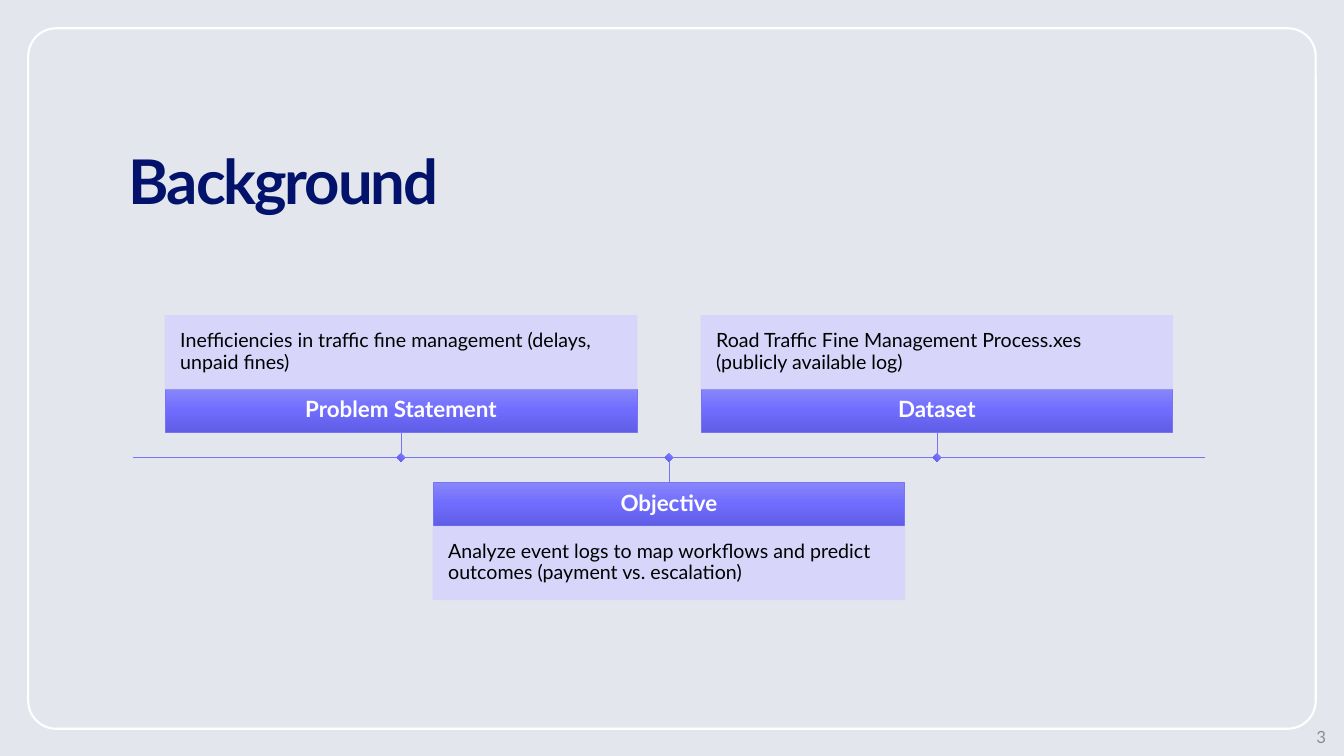
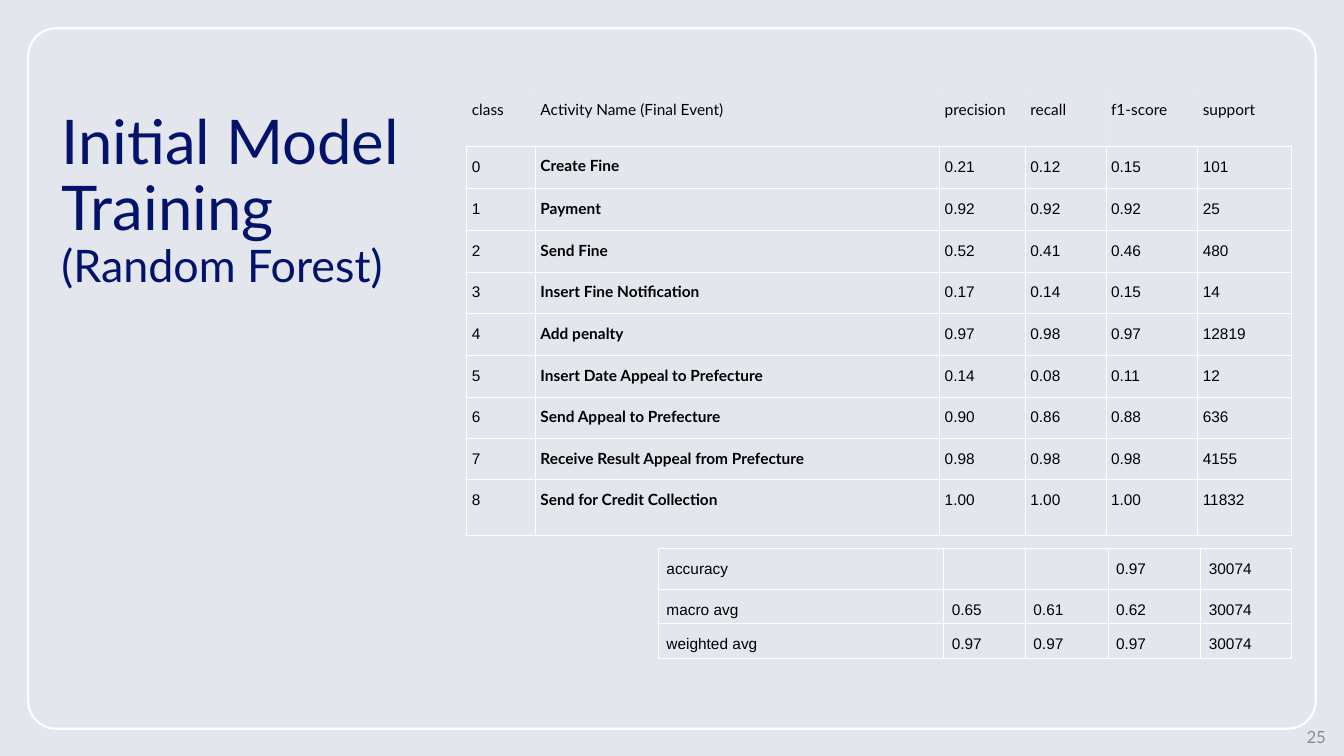
"""Builds a background timeline slide and a model results slide."""
import pptx
import pptx.dml.color
import pptx.enum.shapes
import pptx.enum.text
import pptx.oxml
import pptx.oxml.ns
import pptx.util

Inches, Pt = pptx.util.Inches, pptx.util.Pt
SHAPE = pptx.enum.shapes.MSO_SHAPE
STRAIGHT = pptx.enum.shapes.MSO_CONNECTOR.STRAIGHT
ALIGN = pptx.enum.text.PP_ALIGN
ANCHOR = pptx.enum.text.MSO_ANCHOR
qn = pptx.oxml.ns.qn

BACKDROP, WHITE, BLACK = "E3E7ED", "FFFFFF", "000000"
NAVY, GREY, HEADER_EDGE = "03126A", "8C8C8C", "E5E7EB"
VIOLET, LILAC = "7673F7", "D6D5FC"
GRADIENT = [(0, "8886FA"), (50, "706CFE"), (100, "605DE5")]

CARDS = [
    ("Problem Statement", "Inefficiencies in traffic fine management (delays, unpaid fines)"),
    ("Objective", "Analyze event logs to map workflows and predict outcomes (payment vs. escalation)"),
    ("Dataset", "Road Traffic Fine Management Process.xes (publicly available log)"),
]
AXIS_LEFT, AXIS_RIGHT, AXIS_Y = 1.32, 11.95, 4.54
CARD_W, HEAD_H, BODY_H, STEM, MARKER = 4.68, 0.43, 0.73, 0.25, 0.06

CLASS_COLS = [0.68, 4.01, 0.85, 0.8, 0.91, 0.93]
CLASS_ROW_HEIGHTS = [0.56, 0.42, 0.42, 0.41, 0.41, 0.42, 0.41, 0.41, 0.41, 0.55]
CLASS_ROWS = [
    ("class", "Activity Name (Final Event)", "precision", "recall", "f1-score", "support"),
    ("0", "Create Fine", "0.21", "0.12", "0.15", "101"),
    ("1", "Payment", "0.92", "0.92", "0.92", "25"),
    ("2", "Send Fine", "0.52", "0.41", "0.46", "480"),
    ("3", "Insert Fine Notification", "0.17", "0.14", "0.15", "14"),
    ("4", "Add penalty", "0.97", "0.98", "0.97", "12819"),
    ("5", "Insert Date Appeal to Prefecture", "0.14", "0.08", "0.11", "12"),
    ("6", "Send Appeal to Prefecture", "0.90", "0.86", "0.88", "636"),
    ("7", "Receive Result Appeal from Prefecture", "0.98", "0.98", "0.98", "4155"),
    ("8", "Send for Credit Collection", "1.00", "1.00", "1.00", "11832"),
]
SUMMARY_COLS = [2.83, 0.81, 0.82, 0.92, 0.9]
SUMMARY_ROW_HEIGHTS = [0.41, 0.34, 0.34]
SUMMARY_ROWS = [
    ("accuracy", "", "", "0.97", "30074"),
    ("macro avg", "0.65", "0.61", "0.62", "30074"),
    ("weighted avg", "0.97", "0.97", "0.97", "30074"),
]


def rgb(value):
    return pptx.dml.color.RGBColor.from_string(value)


def write(tf, text, size=14, color=BLACK, bold=False, font="Lato", align=ALIGN.LEFT,
          spacing=None, tracking=None, last_size=None):
    p = tf.paragraphs[0]
    p.alignment = align
    p.line_spacing = spacing
    lines = text.split("\n")
    for i, line in enumerate(lines):
        if i:
            p.add_line_break()
        r = p.add_run()
        r.text = line
        r.font.name, r.font.bold = font, bold
        r.font.size = Pt(last_size if last_size and i == len(lines) - 1 else size)
        r.font.color.rgb = rgb(color)
        if tracking:
            r._r.get_or_add_rPr().set("spc", str(round(tracking * 100)))


def set_frame(tf, anchor, inset=None):
    tf.word_wrap = True
    tf.vertical_anchor = anchor
    if inset is not None:
        tf.margin_left = tf.margin_top = tf.margin_right = tf.margin_bottom = Inches(inset)


def add_text(s, box, text, anchor, **fmt):
    tf = s.shapes.add_textbox(*map(Inches, box)).text_frame
    set_frame(tf, anchor)
    write(tf, text, **fmt)


def add_box(s, kind, box, line=None, width=0.5):
    sp = s.shapes.add_shape(kind, *map(Inches, box))
    sp.shadow.inherit = False
    sp.fill.background()
    if line:
        sp.line.color.rgb = rgb(line)
        sp.line.width = Pt(width)
    else:
        sp.line.fill.background()
    return sp


def fill_gradient(sp):
    sp.fill.gradient()
    sp.fill.gradient_angle = 270
    stops = sp._element.spPr.find(".//" + qn("a:gsLst"))
    for stop in list(stops):
        stops.remove(stop)
    for position, color in GRADIENT:
        stop = pptx.oxml.ns.qn("a:gs")
        gs = stops.makeelement(stop, {"pos": str(position * 1000)})
        gs.append(gs.makeelement(qn("a:srgbClr"), {"val": color}))
        stops.append(gs)


def fill_translucent(sp, color, percent):
    sp.fill.solid()
    sp.fill.fore_color.rgb = rgb(color)
    for clr in sp._element.spPr.iter(qn("a:srgbClr")):
        clr.append(clr.makeelement(qn("a:alpha"), {"val": str(percent * 1000)}))


def add_line(s, x1, y1, x2, y2):
    c = s.shapes.add_connector(STRAIGHT, *map(Inches, (x1, y1, x2, y2)))
    c.line.color.rgb = rgb(VIOLET)
    c.line.width = Pt(0.5)
    spPr = c._element.spPr
    spPr.append(spPr.makeelement(qn("a:effectLst"), {}))
    return c


def add_slide(prs, number):
    s = prs.slides.add_slide(prs.slide_layouts[6])
    s.background.fill.solid()
    s.background.fill.fore_color.rgb = rgb(BACKDROP)
    border = add_box(s, SHAPE.ROUNDED_RECTANGLE, (0.28, 0.28, 12.77, 6.95), WHITE, 1.5)
    border.adjustments[0] = 0.04
    add_text(s, (10.25, 7.18, 3, 0.25), str(number), ANCHOR.MIDDLE,
             size=12, color=GREY, align=ALIGN.RIGHT)
    return s


def add_title(s, box, text, **fmt):
    add_text(s, box, text, ANCHOR.BOTTOM, size=44, color=NAVY, spacing=0.9, **fmt)


def add_card(s, center, above, heading, body):
    left = center - CARD_W / 2
    head_top = AXIS_Y - STEM - HEAD_H if above else AXIS_Y + STEM
    body_top = head_top - BODY_H if above else head_top + HEAD_H
    head = add_box(s, SHAPE.RECTANGLE, (left, head_top, CARD_W, HEAD_H), VIOLET)
    fill_gradient(head)
    set_frame(head.text_frame, ANCHOR.MIDDLE, 0.09)
    write(head.text_frame, heading, size=16, color=WHITE, bold=True,
          align=ALIGN.CENTER, spacing=0.9)
    panel = add_box(s, SHAPE.RECTANGLE, (left, body_top, CARD_W, BODY_H), LILAC)
    fill_translucent(panel, LILAC, 90)
    set_frame(panel.text_frame, ANCHOR.MIDDLE, 0.15)
    write(panel.text_frame, body, spacing=0.9)
    stem = add_line(s, center, head_top, center, AXIS_Y)
    stem.begin_connect(head, 2 if above else 0)
    marker = add_box(s, SHAPE.RECTANGLE,
                     (center - MARKER / 2, AXIS_Y - MARKER / 2, MARKER, MARKER))
    marker.rotation = 45
    fill_gradient(marker)


def set_borders(cell, edges):
    tcPr = cell._tc.get_or_add_tcPr()
    for side, (color, width) in zip("LRTB", edges):
        tcPr.append(pptx.oxml.parse_xml(
            f'<a:ln{side} {pptx.oxml.ns.nsdecls("a")} w="{Pt(width)}"><a:solidFill>'
            f'<a:srgbClr val="{color}"/></a:solidFill></a:ln{side}>'))


def add_table(s, left, top, cols, heights, rows, inset, header=False, name_col=None):
    box = map(Inches, (left, top, sum(cols), sum(heights)))
    table = s.shapes.add_table(len(rows), len(cols), *box).table
    table.first_row = table.horz_banding = False
    for column, width in zip(table.columns, cols):
        column.width = Inches(width)
    for i, (height, values) in enumerate(zip(heights, rows)):
        table.rows[i].height = Inches(height)
        is_header = header and i == 0
        outer = (HEADER_EDGE, 1) if is_header else (WHITE, 0.75)
        for j, value in enumerate(values):
            cell = table.cell(i, j)
            cell.margin_left = cell.margin_right = Inches(inset)
            cell.margin_top = cell.margin_bottom = Inches(0.05)
            set_borders(cell, [outer, outer, outer, (WHITE, 0.75)])
            cell.fill.background()
            is_name = j == name_col
            write(cell.text_frame, value, size=11, spacing=Pt(17.2),
                  bold=is_name and not is_header,
                  font="Lato" if is_header or is_name else "Arial")


def build_background(prs):
    s = add_slide(prs, 3)
    add_title(s, (1.18, 0.4, 11.24, 1.81), "Background", bold=True, tracking=-1.5)
    add_line(s, AXIS_LEFT, AXIS_Y, AXIS_RIGHT, AXIS_Y)
    pitch = (AXIS_RIGHT - AXIS_LEFT) / (len(CARDS) + 1)
    for i, (heading, body) in enumerate(CARDS):
        add_card(s, AXIS_LEFT + pitch * (i + 1), i % 2 == 0, heading, body)


def build_training(prs):
    s = add_slide(prs, 25)
    add_title(s, (0.51, 1.48, 11.24, 1.47),
              "Initial Model\nTraining\n(Random Forest)", last_size=32)
    add_table(s, 4.63, 0.89, CLASS_COLS, CLASS_ROW_HEIGHTS, CLASS_ROWS, 0.05,
              header=True, name_col=1)
    add_table(s, 6.53, 5.44, SUMMARY_COLS, SUMMARY_ROW_HEIGHTS, SUMMARY_ROWS, 0.08)


def main():
    prs = pptx.Presentation()
    prs.slide_width, prs.slide_height = Inches(13.33), Inches(7.5)
    build_background(prs)
    build_training(prs)
    prs.save("out.pptx")


if __name__ == "__main__":
    main()
